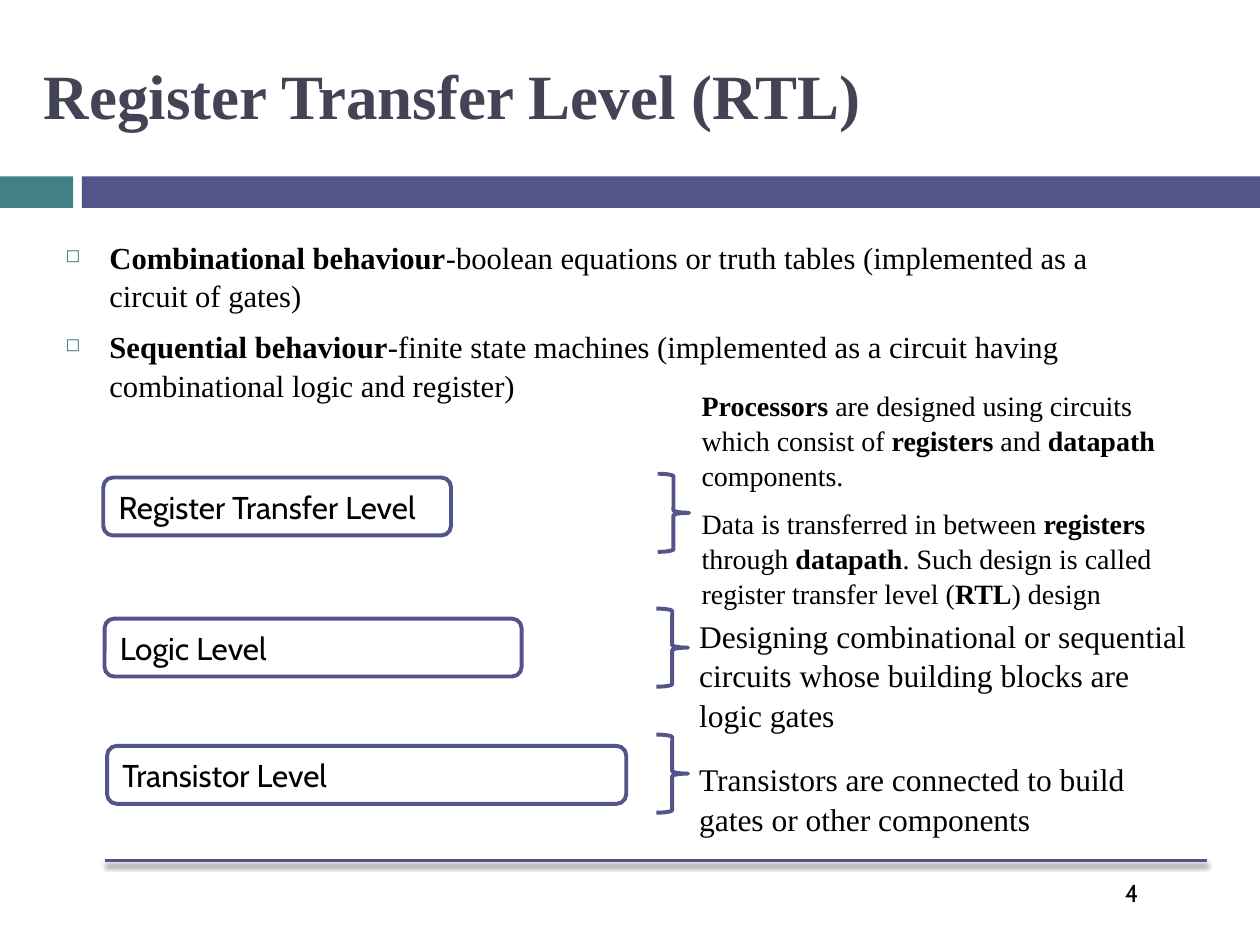
import pptx
import pptx.util
import pptx.dml.color
import pptx.enum.shapes
import pptx.enum.text
import pptx.oxml
import pptx.oxml.ns
from dataclasses import dataclass

COLUMNS, ROWS = 100, 75
SHAPES = pptx.enum.shapes.MSO_SHAPE
ANCHORS = pptx.enum.text.MSO_ANCHOR


@dataclass(frozen=True)
class Theme:
    accent: str = "53548A"
    second: str = "438086"
    heading: str = "424456"
    ink: str = "000000"
    serif: str = "Times New Roman"
    sans: str = "Cabin"
    title: float = 36
    body: float = 18
    bullet: float = 17.5
    detail: float = 16
    number: float = 14
    outline: float = 2.25
    rule: float = 1.5


THEME = Theme()


def color(value):
    return pptx.dml.color.RGBColor.from_string(value)


def add_xml(parent, markup):
    namespace = pptx.oxml.ns.nsdecls("a")
    parent.append(pptx.oxml.parse_xml(markup.replace(" ", f" {namespace} ", 1)))


def write(frame, text, size=THEME.body, font=THEME.serif, ink=THEME.ink,
          bold=False, spacing=1.05, gap=7, bullet=None, anchor=ANCHORS.TOP):
    frame.word_wrap = True
    frame.vertical_anchor = anchor
    for index, line in enumerate(text.split("\n")):
        paragraph = frame.add_paragraph() if index else frame.paragraphs[0]
        if bullet:
            properties = paragraph._p.get_or_add_pPr()
            indent = pptx.util.Inches(0.35)
            properties.set("marL", str(indent))
            properties.set("indent", str(-indent))
            add_xml(properties, f'<a:buClr ><a:srgbClr val="{THEME.second}"/></a:buClr>')
            add_xml(properties, '<a:buSzPct val="60000"/>')
            add_xml(properties, f'<a:buChar char="{bullet}"/>')
        paragraph.alignment = pptx.enum.text.PP_ALIGN.LEFT
        paragraph.line_spacing = spacing
        if index:
            paragraph.space_before = pptx.util.Pt(gap)
        for part, words in enumerate(line.split("**")):
            if words:
                run = paragraph.add_run()
                run.text = words
                run.font.size = pptx.util.Pt(size)
                run.font.name = font
                run.font.bold = bold or part % 2 == 1
                run.font.color.rgb = color(ink)


class SlideBuilder:
    def __init__(self, presentation, theme):
        self.theme = theme
        self.column = presentation.slide_width / COLUMNS
        self.row = presentation.slide_height / ROWS
        self.slide = presentation.slides.add_slide(presentation.slide_layouts[6])

    def place(self, left, top, width, height):
        return (round(left * self.column), round(top * self.row),
                round(width * self.column), round(height * self.row))

    def text(self, area, text, inset=0.05, **style):
        box = self.slide.shapes.add_textbox(*self.place(*area))
        box.text_frame.margin_top = pptx.util.Inches(inset)
        write(box.text_frame, text, **style)

    def band(self, area, fill):
        shape = self.slide.shapes.add_shape(SHAPES.RECTANGLE, *self.place(*area))
        shape.shadow.inherit = False
        shape.fill.solid()
        shape.fill.fore_color.rgb = color(fill)
        shape.line.fill.background()

    def outline(self, kind, area):
        shape = self.slide.shapes.add_shape(kind, *self.place(*area))
        shape.shadow.inherit = False
        shape.fill.background()
        shape.line.color.rgb = color(self.theme.accent)
        shape.line.width = pptx.util.Pt(self.theme.outline)
        return shape

    def label(self, area, text):
        shape = self.outline(SHAPES.ROUNDED_RECTANGLE, area)
        write(shape.text_frame, text, font=self.theme.sans, spacing=1,
              anchor=ANCHORS.MIDDLE)

    def brace(self, area):
        self.outline(SHAPES.RIGHT_BRACE, area)

    def rule(self, left, right, row):
        start_x, y, end_x, _ = self.place(left, row, right, row)
        line = self.slide.shapes.add_connector(
            pptx.enum.shapes.MSO_CONNECTOR.STRAIGHT, start_x, y, end_x, y)
        line.line.color.rgb = color(self.theme.accent)
        line.line.width = pptx.util.Pt(self.theme.rule)
        blur, distance = pptx.util.Pt(3), pptx.util.Pt(2.4)
        add_xml(line._element.spPr,
                f'<a:effectLst ><a:outerShdw blurRad="{blur}" dist="{distance}" '
                f'dir="5400000" rotWithShape="0"><a:srgbClr val="{self.theme.ink}">'
                '<a:alpha val="45000"/></a:srgbClr></a:outerShdw></a:effectLst>')


def main():
    presentation = pptx.Presentation()
    presentation.slide_width = pptx.util.Inches(10)
    presentation.slide_height = pptx.util.Inches(7.5)
    builder = SlideBuilder(presentation, THEME)

    builder.band((0, 14, 5.8, 2.5), THEME.second)
    builder.band((6.5, 14, 93.5, 2.5), THEME.accent)
    builder.text((88.3, 69.2, 7.5, 5), "4", size=THEME.number, font=THEME.sans, spacing=1)
    builder.rule(8.3, 95.8, 68.3)

    builder.text((2.5, 3.3, 94.2, 9.2), "Register Transfer Level (RTL)", inset=0.09,
                 size=THEME.title, ink=THEME.heading, bold=True)
    builder.text(
        (4.2, 18.3, 85.9, 12.6),
        "**Combinational behaviour**-boolean equations or truth tables "
        "(implemented as a circuit of gates)\n"
        "**Sequential behaviour**-finite state machines "
        "(implemented as a circuit having combinational logic and register)",
        size=THEME.bullet, bullet="◻")

    levels = [
        ("Register Transfer Level", (8.2, 37.9, 27.6, 4.6), (52.2, 37.6),
         (54.7, 30.2, 42.1, 16.2), THEME.detail,
         "**Processors** are designed using circuits which consist of "
         "**registers** and **datapath** components.\n"
         "Data is transferred in between **registers** through **datapath**. "
         "Such design is called register transfer level (**RTL**) design"),
        ("Logic Level", (8.3, 49.1, 33.1, 4.6), (52.1, 48.3),
         (54.5, 48.3, 40.8, 9.2), THEME.body,
         "Designing combinational or sequential circuits whose building blocks "
         "are logic gates"),
        ("Transistor Level", (8.5, 59.2, 41.2, 4.6), (52.1, 58.3),
         (54.5, 59.7, 40.8, 7.8), THEME.body,
         "Transistors are connected to build gates or other components"),
    ]
    for name, label_area, brace_corner, text_area, size, description in levels:
        builder.label(label_area, name)
        builder.brace((*brace_corner, 2.5, 6.2))
        builder.text(text_area, description, size=size)

    presentation.save("out.pptx")


if __name__ == "__main__":
    main()
